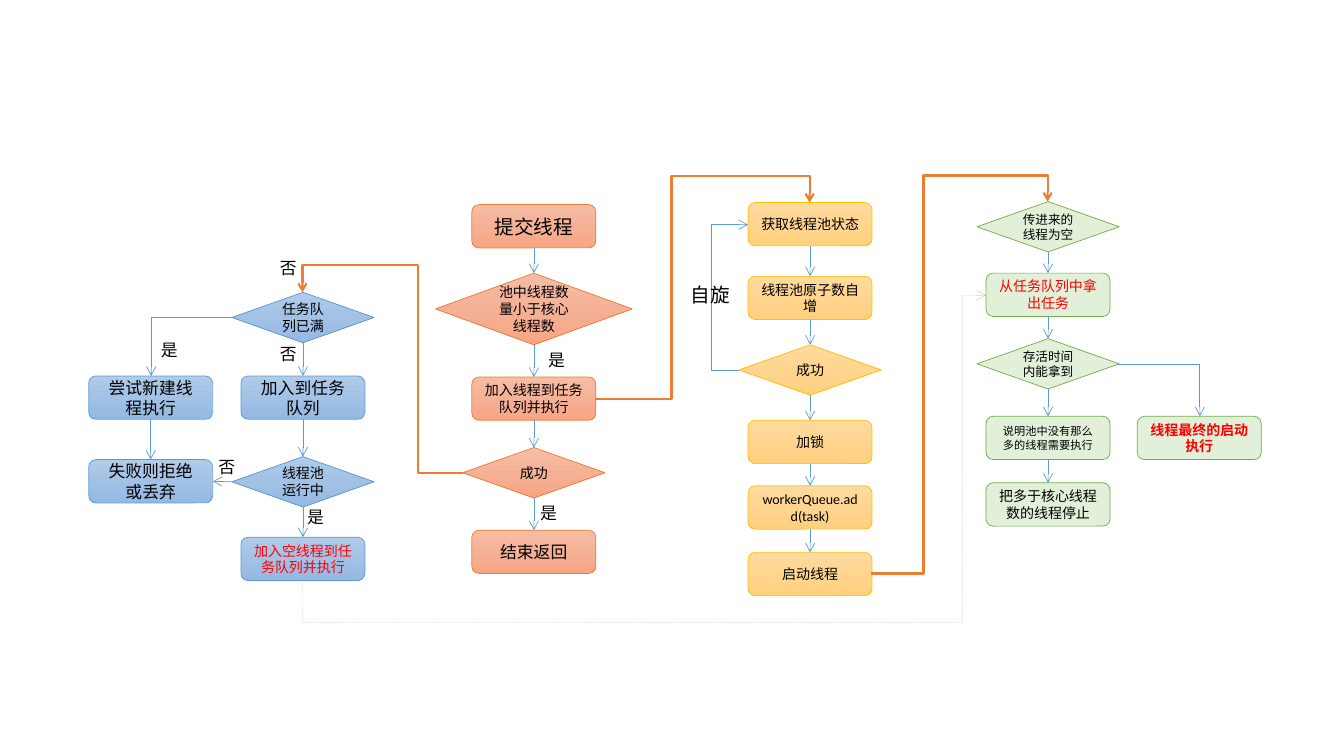
from copy import deepcopy
from dataclasses import dataclass

from lxml import etree
from pptx import Presentation
from pptx.dml.color import RGBColor
from pptx.enum.dml import MSO_LINE
from pptx.enum.shapes import MSO_CONNECTOR, MSO_SHAPE
from pptx.enum.text import MSO_ANCHOR, MSO_AUTO_SIZE, PP_ALIGN
from pptx.oxml.ns import qn
from pptx.util import Emu, Pt

EMU_PER_PX = 9144
STRAIGHT, ELBOW = MSO_CONNECTOR.STRAIGHT, MSO_CONNECTOR.ELBOW
ROUNDED, DIAMOND = MSO_SHAPE.ROUNDED_RECTANGLE, MSO_SHAPE.DIAMOND
LEFT, CENTER = PP_ALIGN.LEFT, PP_ALIGN.CENTER
MIDDLE = MSO_ANCHOR.MIDDLE
GROW = MSO_AUTO_SIZE.SHAPE_TO_FIT_TEXT
DASH = MSO_LINE.DASH
TOP_SIDE, LEFT_SIDE, BOTTOM_SIDE = 0, 1, 2
BLACK, RED = "000000", "FF0000"
BLUE, ORANGE, BROWN = "5B9BD5", "ED7D31", "C55A11"


@dataclass(frozen=True)
class Palette:
    line: str
    fills: tuple[str, ...]


@dataclass(frozen=True)
class Kind:
    preset: int
    width: int
    height: int


@dataclass(frozen=True)
class Step:
    name: str
    text: str
    center: int
    top: int
    palette: Palette
    kind: Kind
    size: int = 10
    color: str = BLACK
    bold: bool = False


@dataclass(frozen=True)
class Bend:
    """An elbow that leaves sideways; turn_x and turn_y are its bends."""
    start: tuple[int, int]
    end: tuple[int, int]
    turn_x: int | None = None
    turn_y: int | None = None
    color: str = BLUE
    width: float = 0.5
    arrow: str = "tailEnd"
    alpha: int = 100


@dataclass(frozen=True)
class Label:
    text: str
    left: int
    top: int
    width: int = 46
    height: int = 30
    size: int = 12
    align: int = CENTER


CORAL = Palette(ORANGE, ("F7BDA5", "F5B196", "F8A582"))
SKY = Palette(BLUE, ("B1CBE9", "A3C1E5", "93B9E4"))
GOLD = Palette("FFC000", ("FFDB9E", "FFD590", "FFD07C"))
GREEN = Palette("70AD47", ("E2F0D9",))
ACTION = Kind(ROUNDED, 123, 43)
CHECK = Kind(DIAMOND, 141, 50)
WIDE_CHECK = Kind(DIAMOND, 195, 71)

STEPS = (
    Step("submit", "提交线程", 529, 203, CORAL, ACTION, 14),
    Step("below core", "池中线程数量小于核心线程数", 529, 271, CORAL, WIDE_CHECK),
    Step("add worker", "加入线程到任务队列并执行", 529, 374, CORAL, ACTION),
    Step("worker added", "成功", 529, 444, CORAL, CHECK),
    Step("return", "结束返回", 529, 526, CORAL, ACTION, 12),
    Step("queue full", "任务队列已满", 300, 290, SKY, CHECK),
    Step("try new", "尝试新建线程执行", 149, 373, SKY, ACTION, 12),
    Step("reject", "失败则拒绝或丢弃", 149, 456, SKY, ACTION, 12),
    Step("enqueue", "加入到任务队列", 300, 373, SKY, ACTION, 12),
    Step("running", "线程池运行中", 300, 453, SKY, CHECK),
    Step("add empty", "加入空线程到任务队列并执行", 300, 533, SKY, ACTION, color=RED),
    Step("state", "获取线程池状态", 803, 201, GOLD, ACTION),
    Step("increment", "线程池原子数自增", 803, 274, GOLD, ACTION),
    Step("incremented", "成功", 803, 342, GOLD, CHECK),
    Step("lock", "加锁", 803, 417, GOLD, ACTION),
    Step("add task", "workerQueue.add(task)", 803, 482, GOLD, ACTION),
    Step("start", "启动线程", 803, 548, GOLD, ACTION),
    Step("no thread", "传进来的线程为空", 1039, 200, GREEN, CHECK, 9),
    Step("take task", "从任务队列中拿出任务", 1039, 271, GREEN, ACTION, color=RED),
    Step("in time", "存活时间内能拿到", 1039, 336, GREEN, CHECK, 9),
    Step("spare", "说明池中没有那么多的线程需要执行", 1039, 413, GREEN, ACTION, 8),
    Step("stop", "把多于核心线程数的线程停止", 1039, 479, GREEN, ACTION),
    Step("run", "线程最终的启动执行", 1189, 413, GREEN, ACTION, color=RED, bold=True),
)
DOWNWARD_CHAINS = (
    ("submit", "below core", "add worker", "worker added", "return"),
    ("queue full", "enqueue", "running", "add empty"),
    ("try new", "reject"),
    ("state", "increment", "incremented", "lock", "add task", "start"),
    ("no thread", "take task", "in time", "spare", "stop"),
)
BENDS = (
    Bend((459, 469), (300, 290), 415, 263, ORANGE, 1.5),
    Bend((230, 315), (150, 373)),
    Bend((733, 367), (742, 223), 706),
    Bend((1109, 361), (1190, 413)),
    Bend((864, 569), (1039, 200), 916, 174, ORANGE, 1.5),
    Bend((590, 396), (803, 201), 666, 175, ORANGE, 1.5),
    Bend((978, 293), (300, 576), 954, 618, BROWN, 0.25, "headEnd", 49),
)
LABELS = (
    Label("是", 529, 342), Label("否", 263, 251), Label("否", 263, 336),
    Label("是", 145, 332), Label("否", 202, 448), Label("是", 290, 498),
    Label("是", 521, 494), Label("自旋", 675, 276, 67, 34, 14, LEFT),
)


def px(value: int) -> Emu:
    return Emu(value * EMU_PER_PX)


def rgb(color: str) -> RGBColor:
    return RGBColor.from_string(color)


def write(frame, text: str, *, size: int, color: str = BLACK,
          bold: bool = False, align: int = CENTER) -> None:
    frame.word_wrap = True
    para = frame.paragraphs[0]
    para.alignment = align
    span = para.add_run()
    span.text = text
    span.font.name = "Calibri"
    span.font.size = Pt(size)
    span.font.bold = bold
    span.font.color.rgb = rgb(color)


def paint(box, fills: tuple[str, ...]) -> None:
    """Fill with one flat colour, or with evenly spaced stops from top to bottom."""
    if len(fills) == 1:
        box.fill.solid()
        box.fill.fore_color.rgb = rgb(fills[0])
        return
    box.fill.gradient()
    box.fill.gradient_angle = 270
    stop_list = box.element.spPr.find(qn("a:gradFill")).find(qn("a:gsLst"))
    for _ in fills[2:]:
        stop_list.append(deepcopy(stop_list[0]))
    for index, (stop, color) in enumerate(zip(box.fill.gradient_stops, fills)):
        stop.color.rgb = rgb(color)
        stop.position = index / (len(fills) - 1)


def draw_step(page, step: Step):
    kind = step.kind
    box = page.shapes.add_shape(kind.preset, px(step.center - kind.width // 2), px(step.top),
                                px(kind.width), px(kind.height))
    box.shadow.inherit = False
    paint(box, step.palette.fills)
    box.line.color.rgb = rgb(step.palette.line)
    box.line.width = Pt(0.5)
    box.text_frame.vertical_anchor = MIDDLE
    write(box.text_frame, step.text, size=step.size, color=step.color, bold=step.bold)
    return box


def style_arrow(arrow, color: str = BLUE, width: float = 0.5, end: str = "tailEnd") -> None:
    arrow.line.color.rgb = rgb(color)
    arrow.line.width = Pt(width)
    etree.SubElement(arrow.line._get_or_add_ln(), qn(f"a:{end}"), type="arrow")
    etree.SubElement(arrow.element.spPr, qn("a:effectLst"))


def link(page, source, source_side: int, target, target_side: int) -> None:
    arrow = page.shapes.add_connector(STRAIGHT, 0, 0, 0, 0)
    arrow.begin_connect(source, source_side)
    arrow.end_connect(target, target_side)
    style_arrow(arrow)


def draw_bend(page, bend: Bend) -> None:
    (x1, y1), (x2, y2) = bend.start, bend.end
    arrow = page.shapes.add_connector(ELBOW, px(x1), px(y1), px(x2), px(y2))
    ratios = [(turn - first) / (last - first)
              for turn, first, last in ((bend.turn_x, x1, x2), (bend.turn_y, y1, y2))
              if turn is not None]
    geometry = arrow.element.spPr.find(qn("a:prstGeom"))
    geometry.set("prst", f"bentConnector{len(ratios) + 2}")
    guides = geometry.find(qn("a:avLst"))
    for number, ratio in enumerate(ratios, 1):
        etree.SubElement(guides, qn("a:gd"), name=f"adj{number}",
                         fmla=f"val {round(ratio * 100000)}")
    style_arrow(arrow, bend.color, bend.width, bend.arrow)
    if bend.alpha < 100:
        arrow.line.dash_style = DASH
        tint = next(arrow.element.spPr.iter(qn("a:srgbClr")))
        etree.SubElement(tint, qn("a:alpha"), val=str(bend.alpha * 1000))


def draw_label(page, label: Label) -> None:
    box = page.shapes.add_textbox(px(label.left), px(label.top),
                                  px(label.width), px(label.height))
    write(box.text_frame, label.text, size=label.size, align=label.align)
    box.text_frame.auto_size = GROW


def main() -> None:
    deck = Presentation()
    deck.slide_width, deck.slide_height = px(1333), px(750)
    page = deck.slides.add_slide(deck.slide_layouts[6])
    boxes = {step.name: draw_step(page, step) for step in STEPS}
    for chain in DOWNWARD_CHAINS:
        for upper, lower in zip(chain, chain[1:]):
            link(page, boxes[upper], BOTTOM_SIDE, boxes[lower], TOP_SIDE)
    link(page, boxes["running"], LEFT_SIDE, boxes["reject"], 3)
    for bend in BENDS:
        draw_bend(page, bend)
    for label in LABELS:
        draw_label(page, label)
    deck.save("out.pptx")


if __name__ == "__main__":
    main()
